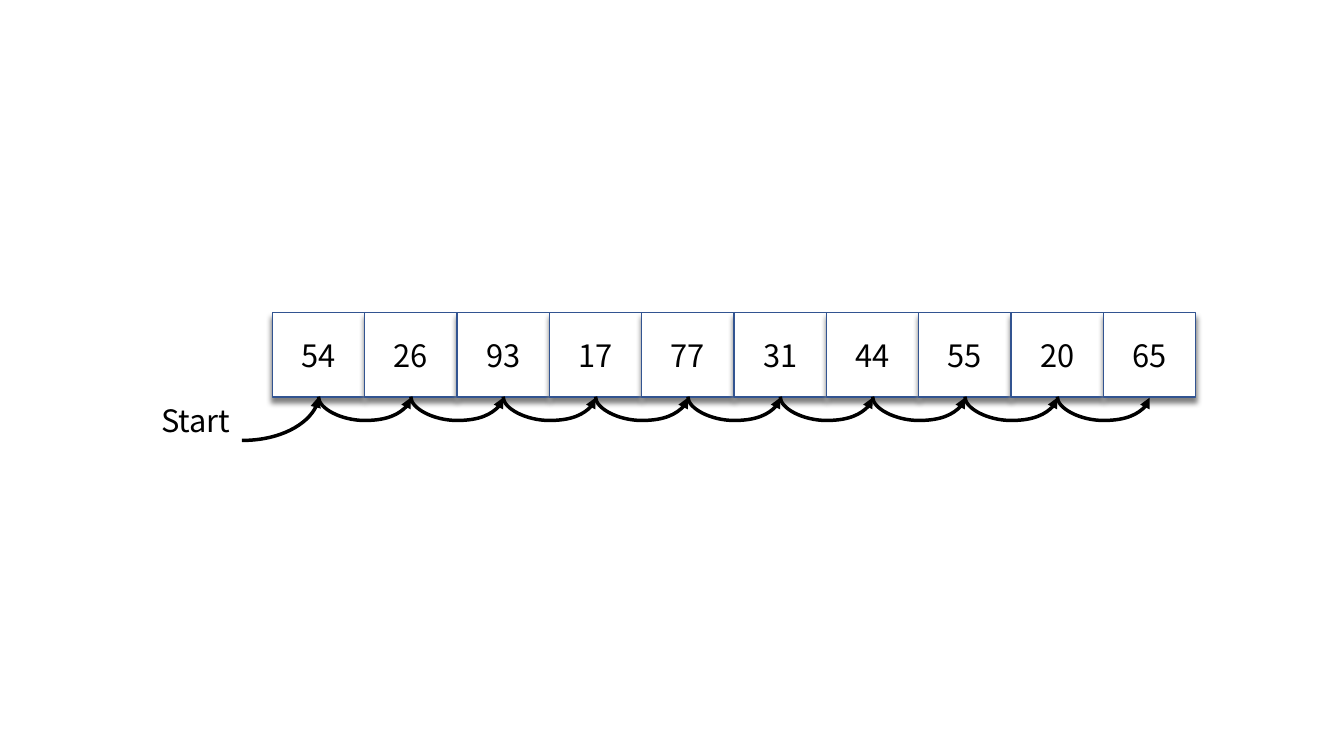
from lxml import etree
from pptx import Presentation, util as u
from pptx.dml.color import RGBColor
from pptx.enum import shapes, text
from pptx.oxml import parse_xml
from pptx.oxml.ns import qn, nsdecls

BLACK = RGBColor(0, 0, 0)
WHITE = RGBColor(255, 255, 255)
BLUE = RGBColor(0x32, 0x54, 0x91)
FONT = "Noto Sans CJK KR"

deck = Presentation()
deck.slide_width, deck.slide_height = u.Inches(13.33), u.Inches(7.5)
slide = deck.slides.add_slide(deck.slide_layouts[6])

# Grid of the array
items = [54, 26, 93, 17, 77, 31, 44, 55, 20, 65]
left, top, high = 2.7, 3.1, 0.84
col = (11.86 - left) / len(items)
base = top + high
mid = left + col / 2
dip = 0.24

SHADOW = (f'<a:outerShdw {nsdecls("a")} blurRad="50800" dist="50800" dir="5400000" '
          'algn="t" rotWithShape="0"><a:srgbClr val="808080"/></a:outerShdw>')


def write(shape, words):
    frame = shape.text_frame
    frame.word_wrap = True
    para = frame.paragraphs[0]
    para.alignment = text.PP_ALIGN.CENTER
    run = para.add_run()
    run.text = words
    run.font.size = u.Pt(22)
    run.font.name = FONT
    run.font.color.rgb = BLACK


def arrow(x1, y1, x2, y2):
    line = slide.shapes.add_connector(
        shapes.MSO_CONNECTOR.CURVE, *map(u.Inches, (x1, y1, x2, y2)))
    line.line.color.rgb = BLACK
    line.line.width = u.Pt(2.5)
    props = line._element.spPr
    etree.SubElement(props.find(qn("a:ln")), qn("a:tailEnd"), type="triangle")
    etree.SubElement(props, qn("a:effectLst"))
    return props


# Array cells
for i, item in enumerate(items):
    cell = slide.shapes.add_shape(
        shapes.MSO_SHAPE.RECTANGLE,
        *map(u.Inches, (left + i * col, top, col, high)))
    cell.fill.solid()
    cell.fill.fore_color.rgb = WHITE
    cell.line.color.rgb = BLUE
    cell.line.width = u.Pt(1)
    cell.shadow.inherit = False
    cell._element.spPr.find(qn("a:effectLst")).append(parse_xml(SHADOW))
    cell.text_frame.vertical_anchor = text.MSO_ANCHOR.MIDDLE
    write(cell, str(item))

# Start label and its arrow
label = slide.shapes.add_textbox(*map(u.Inches, (1.48, base, 0.92, 0.47)))
write(label, "Start")
props = arrow(2.4, 4.37, mid, base)
props.find(qn("a:prstGeom")).set("prst", "curvedConnector2")

# Hops from cell to cell: thin upright curves, turned a quarter to hang below
thin = 0.01
for i in range(len(items) - 1):
    x = left + (i + 1) * col
    props = arrow(x + thin / 2, base - col / 2, x - thin / 2, base + col / 2)
    props.find(qn("a:xfrm")).set("rot", "16200000")
    geom = props.find(qn("a:prstGeom"))
    guides = geom.find(qn("a:avLst"))
    etree.SubElement(guides, qn("a:gd"), name="adj1",
                     fmla=f"val {round(dip / thin * 100000)}")

deck.save("out.pptx")
